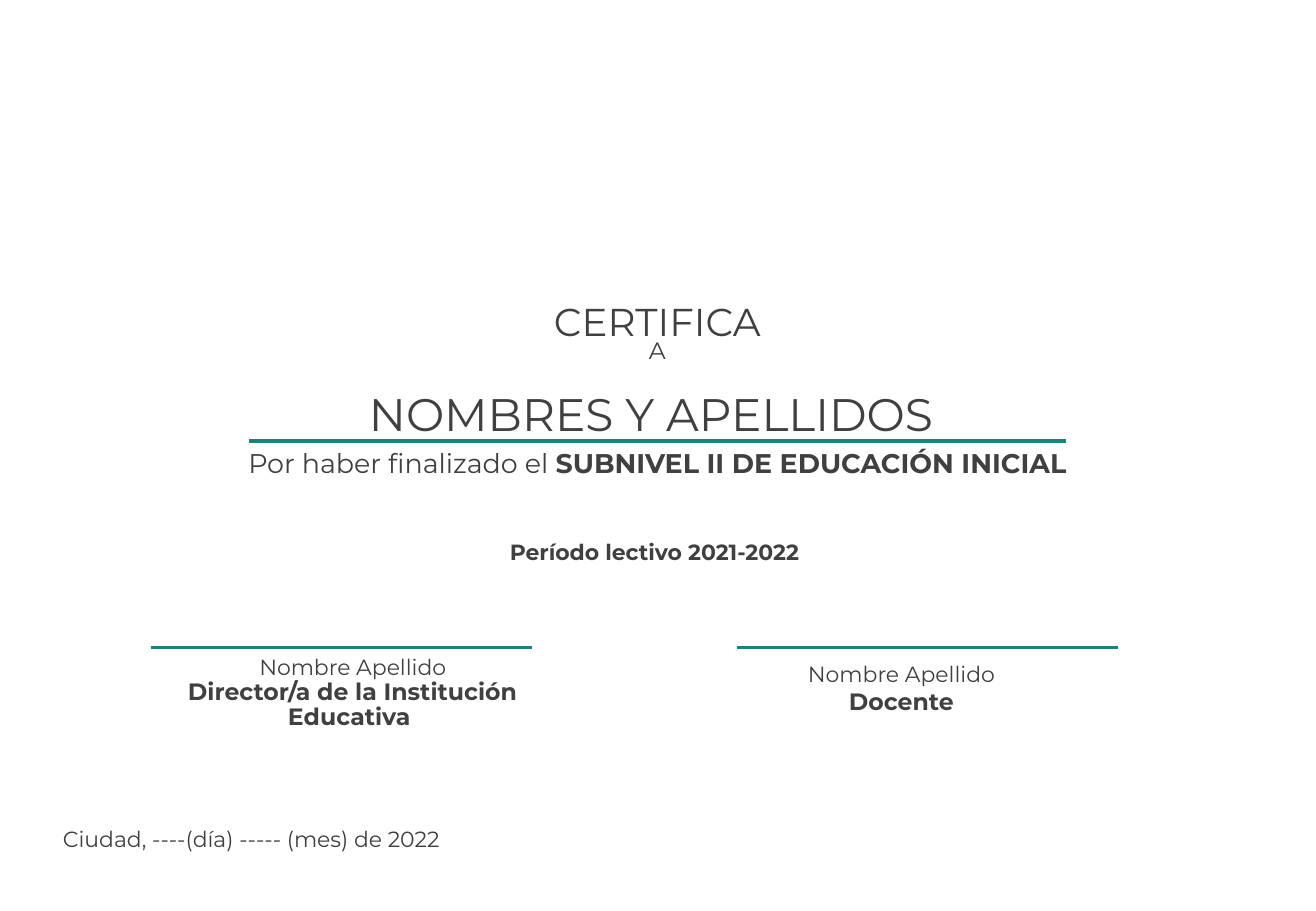
from dataclasses import dataclass

from lxml.etree import SubElement
from pptx import Presentation
from pptx.dml.color import RGBColor
from pptx.enum.shapes import MSO_CONNECTOR
from pptx.enum.text import MSO_AUTO_SIZE, PP_ALIGN
from pptx.oxml.ns import qn
from pptx.slide import Slide
from pptx.util import Inches, Pt


@dataclass(frozen=True)
class Theme:
    font: str = "Montserrat"
    ink: RGBColor = RGBColor(0x40, 0x40, 0x40)
    rule: RGBColor = RGBColor(0x1C, 0x81, 0x77)
    rule_width: float = 2.25
    name: int = 27
    title: int = 23
    award: int = 16
    role: int = 14
    body: int = 13


THEME = Theme()


@dataclass(frozen=True)
class Span:
    text: str
    bold: bool = False


@dataclass(frozen=True)
class Line:
    spans: tuple[Span, ...]
    size: int
    before: float = 0
    spacing: float | None = None


@dataclass(frozen=True)
class TextBlock:
    left: float
    top: float
    width: float
    height: float
    lines: tuple[Line, ...]
    align: PP_ALIGN = PP_ALIGN.CENTER


@dataclass(frozen=True)
class Rule:
    left: float
    right: float
    top: float


def plain(text: str, size: int) -> Line:
    return Line((Span(text),), size)


def bold(text: str, size: int, before: float = 0, spacing: float | None = None) -> Line:
    return Line((Span(text, True),), size, before, spacing)


SIGNER = plain("Nombre Apellido", THEME.body)

BLOCKS = (
    TextBlock(3.91, 2.4, 3.01, 0.49, (plain("CERTIFICA", THEME.title),)),
    TextBlock(5.21, 2.72, 0.41, 0.34, (plain("A", THEME.role),)),
    TextBlock(1.24, 3.13, 8.34, 0.55, (plain("NOMBRES Y APELLIDOS ", THEME.name),)),
    TextBlock(1.92, 3.63, 6.99, 1.07, (
        Line(
            (Span("Por haber finalizado el "), Span("SUBNIVEL II DE EDUCACIÓN INICIAL", True)),
            THEME.award,
        ),
        bold("Período lectivo 2021-2022 ", THEME.body, before=35),
    )),
    TextBlock(1.29, 5.33, 3.23, 0.74, (
        SIGNER,
        bold("Director/a de la Institución Educativa ", THEME.role, spacing=15),
    )),
    TextBlock(6.26, 5.39, 2.33, 0.55, (SIGNER, bold("Docente", THEME.role))),
    TextBlock(
        0.42, 6.75, 3.74, 0.32,
        (plain("Ciudad, ----(día) ----- (mes) de 2022", THEME.body),),
        PP_ALIGN.LEFT,
    ),
)

RULES = (Rule(2.05, 8.78, 3.63), Rule(1.24, 4.38, 5.33), Rule(6.07, 9.21, 5.33))


def draw_block(page: Slide, block: TextBlock) -> None:
    box = page.shapes.add_textbox(
        Inches(block.left), Inches(block.top), Inches(block.width), Inches(block.height)
    )
    frame = box.text_frame
    frame.word_wrap = True
    frame.auto_size = MSO_AUTO_SIZE.SHAPE_TO_FIT_TEXT
    for index, line in enumerate(block.lines):
        para = frame.add_paragraph() if index else frame.paragraphs[0]
        para.alignment = block.align
        para.font.name = THEME.font
        para.font.size = Pt(line.size)
        para.font.color.rgb = THEME.ink
        if line.before:
            para.space_before = Pt(line.before)
        if line.spacing:
            para.line_spacing = Pt(line.spacing)
        if len(line.spans) == 1:
            para.font.bold = line.spans[0].bold
        for span in line.spans:
            run = para.add_run()
            run.text = span.text
            if len(line.spans) > 1:
                run.font.bold = span.bold


def draw_rule(page: Slide, rule: Rule) -> None:
    connector = page.shapes.add_connector(
        MSO_CONNECTOR.STRAIGHT,
        Inches(rule.left), Inches(rule.top), Inches(rule.right), Inches(rule.top),
    )
    connector.line.color.rgb = THEME.rule
    connector.line.width = Pt(THEME.rule_width)
    SubElement(connector._element.spPr, qn("a:effectLst"))


def main() -> None:
    deck = Presentation()
    deck.slide_width = Inches(10.84)
    deck.slide_height = Inches(7.5)
    page = deck.slides.add_slide(deck.slide_layouts[6])
    for block in BLOCKS:
        draw_block(page, block)
    for rule in RULES:
        draw_rule(page, rule)
    deck.save("out.pptx")


if __name__ == "__main__":
    main()
